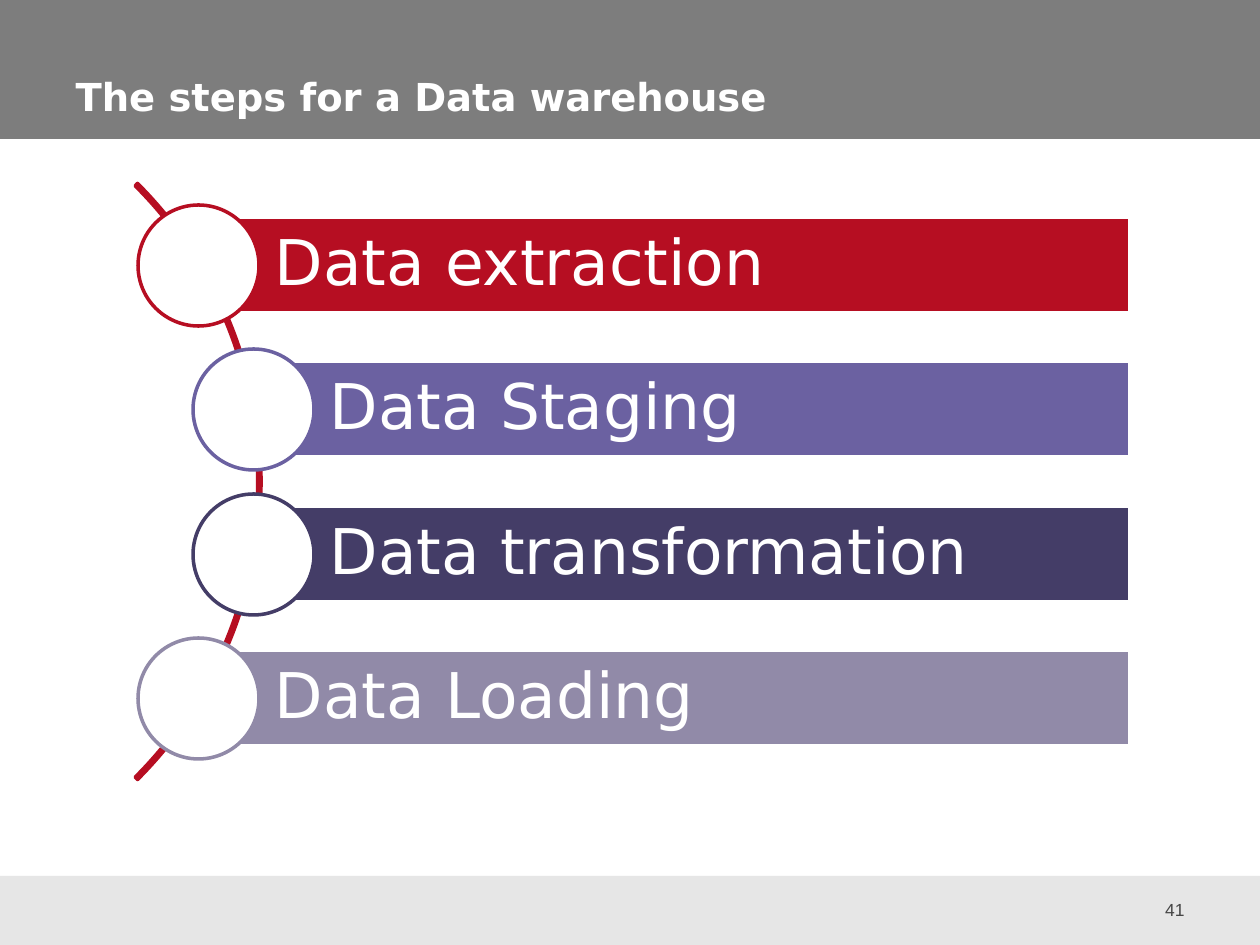
from pptx import Presentation
from pptx.dml.color import RGBColor
from pptx.enum.shapes import MSO_SHAPE
from pptx.enum.text import MSO_ANCHOR, MSO_AUTO_SIZE, PP_ALIGN
from pptx.util import Pt

SCALE = 914400 / 126
COLOURS = {
    "header": "7D7D7D",
    "footer": "E6E6E6",
    "number": "464646",
    "white": "FFFFFF",
    "red": "B60E22",
    "violet": "6B61A1",
    "indigo": "443D67",
    "lavender": "918AA8",
}
STEPS = [
    ("Data extraction", "red", 198),
    ("Data Staging", "violet", 253),
    ("Data transformation", "indigo", 253),
    ("Data Loading", "lavender", 198),
]
FIRST_TOP, LAST_TOP = 217, 650
BAR_RIGHT, BAR_HEIGHT, CIRCLE_SIZE = 1130, 96, 121


def px(length):
    return round(length * SCALE)


def colour(name):
    return RGBColor.from_string(COLOURS[name])


class SlideBuilder:
    heading_font = "DejaVu Sans"
    number_font = "Arial"
    line_width = Pt(2)

    def __init__(self, deck):
        self.page = deck.slides.add_slide(deck.slide_layouts[5])

    def shape(self, kind, left, top, width, height, fill=None, line=None):
        shape = self.page.shapes.add_shape(kind, px(left), px(top), px(width), px(height))
        shape.shadow.inherit = False
        if fill:
            shape.fill.solid()
            shape.fill.fore_color.rgb = colour(fill)
        else:
            shape.fill.background()
        if line:
            shape.line.color.rgb = colour(line)
            shape.line.width = self.line_width
        else:
            shape.line.fill.background()
        return shape

    def label(self, box, text, text_colour, font, paragraph, frame):
        text_frame = box.text_frame
        text_frame.text = text
        para = text_frame.paragraphs[0]
        span = para.runs[0]
        span.font.color.rgb = colour(text_colour)
        frame_values = {"word_wrap": True, "auto_size": MSO_AUTO_SIZE.NONE, **frame}
        for target, values in (
            (text_frame, frame_values),
            (para, paragraph),
            (span.font, font),
        ):
            for name, value in values.items():
                setattr(target, name, value)

    def title(self, text, left, top, width, height):
        title = self.page.shapes.title
        self.page.shapes.element.append(title.element)
        position = {"left": left, "top": top, "width": width, "height": height}
        for name, value in position.items():
            setattr(title, name, px(value))
        self.label(
            title, text, "white",
            {"name": self.heading_font, "size": Pt(22), "bold": True},
            {"alignment": PP_ALIGN.LEFT},
            {"vertical_anchor": MSO_ANCHOR.BOTTOM},
        )

    def page_number(self, text, left, top, width, height):
        box = self.page.shapes.add_textbox(px(left), px(top), px(width), px(height))
        self.label(
            box, text, "number",
            {"name": self.number_font, "size": Pt(10)},
            {"alignment": PP_ALIGN.RIGHT},
            {"vertical_anchor": MSO_ANCHOR.MIDDLE},
        )

    def arc(self, left, top, size):
        arc = self.shape(MSO_SHAPE.BLOCK_ARC, left, top, size, size, line="red")
        for index, value in enumerate((189, 27, 0.004)):
            arc.adjustments[index] = value

    def step(self, text, accent, left, top):
        bar = self.shape(
            MSO_SHAPE.RECTANGLE, left, top, BAR_RIGHT - left, BAR_HEIGHT, accent, "white"
        )
        self.label(
            bar, text, "white",
            {"name": self.heading_font, "size": Pt(36)},
            {"alignment": PP_ALIGN.LEFT, "line_spacing": 0.9},
            {
                "vertical_anchor": MSO_ANCHOR.MIDDLE,
                "margin_left": px(77),
                "margin_top": px(13),
                "margin_right": px(13),
                "margin_bottom": px(13),
            },
        )
        self.shape(
            MSO_SHAPE.OVAL,
            left - CIRCLE_SIZE // 2,
            top - (CIRCLE_SIZE - BAR_HEIGHT) // 2,
            CIRCLE_SIZE, CIRCLE_SIZE, "white", accent,
        )


def main():
    deck = Presentation()
    deck.slide_width, deck.slide_height = px(1260), px(945)
    builder = SlideBuilder(deck)
    builder.shape(MSO_SHAPE.RECTANGLE, -1, 0, 1264, 139, "header")
    builder.shape(MSO_SHAPE.RECTANGLE, 0, 876, 1260, 69, "footer")
    builder.page_number("41", 1134, 885, 63, 50)
    builder.title("The steps for a Data warehouse", 63, 49, 1119, 77)
    builder.arc(-582, 60, 843)
    pitch = (LAST_TOP - FIRST_TOP) / (len(STEPS) - 1)
    for index, (text, accent, left) in enumerate(STEPS):
        builder.step(text, accent, left, round(FIRST_TOP + index * pitch))
    deck.save("out.pptx")


if __name__ == "__main__":
    main()
